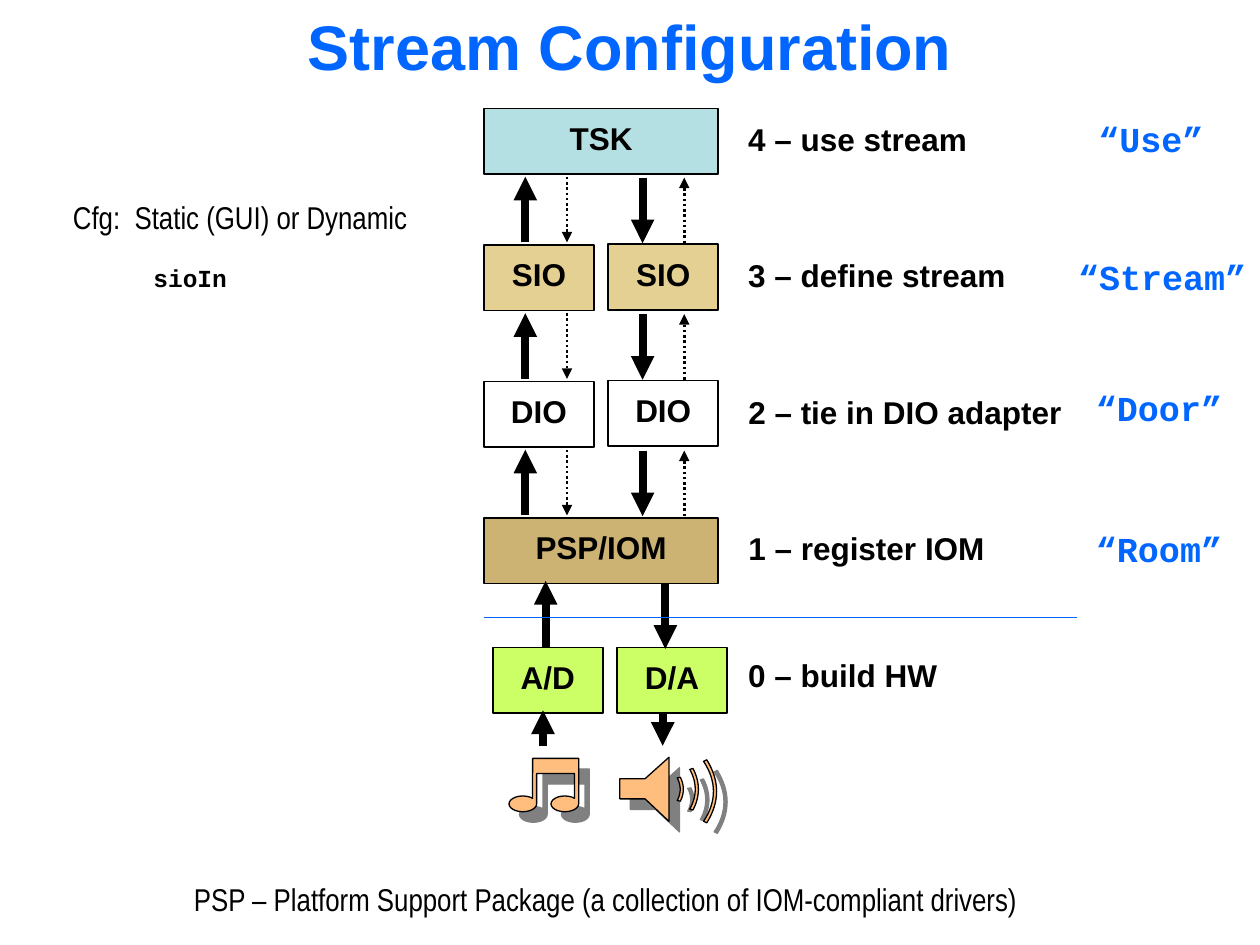
import math

from lxml import etree
from pptx import Presentation
from pptx.dml.color import RGBColor
from pptx.enum.dml import MSO_LINE
from pptx.enum.shapes import MSO_CONNECTOR, MSO_SHAPE
from pptx.enum.text import MSO_ANCHOR, MSO_AUTO_SIZE, PP_ALIGN
from pptx.oxml.ns import qn
from pptx.util import Pt

RECTANGLE, STRAIGHT = MSO_SHAPE.RECTANGLE, MSO_CONNECTOR.STRAIGHT
DOTTED, MIDDLE = MSO_LINE.ROUND_DOT, MSO_ANCHOR.MIDDLE
LEFT, CENTER = PP_ALIGN.LEFT, PP_ALIGN.CENTER
GROW = MSO_AUTO_SIZE.SHAPE_TO_FIT_TEXT

THEME = {
    "blue": "0066FF", "black": "000000", "task": "B5E0E3", "stream": "E5D093",
    "adapter": "FFFFFF", "driver": "CCB374", "hardware": "CCFF66",
    "icon": "FFBE7D", "shadow": "808080",
    # text style: font, size, bold, colour
    "title": ("Arial", 36, True, "blue"),
    "label": ("Arial", 18, True, "black"),
    "nickname": ("Courier New", 20, True, "blue"),
    "code": ("Courier New", 14, True, "black"),
    "note": ("Arial Narrow", 18, False, "black"),
}

# Layers from top to bottom: box texts, fill, step label, label width
LAYERS = [
    (["TSK"], "task", "4 – use stream", 139.7),
    (["SIO", "SIO"], "stream", "3 – define stream", 161.3),
    (["DIO", "DIO"], "adapter", "2 – tie in DIO adapter", 193.7),
    (["PSP/IOM"], "driver", "1 – register IOM", 149.8),
]
CONVERTERS = ["A/D", "D/A"]
# Free texts: text, style, left, top, width, height
TEXTS = [
    ("0 – build HW", "label", 420.5, 375.8, 122.4, 24.5),
    ("“Use”", "nickname", 620.6, 68.4, 76, 26.6),
    ("“Stream”", "nickname", 609, 146.9, 111, 26.6),
    ("“Door”", "nickname", 619.2, 221.8, 88, 26.6),
    ("“Room”", "nickname", 619.2, 302.4, 88, 26.6),
    ("Cfg:  Static (GUI) or Dynamic", "note", 34.6, 113.8, 205.9, 24.5),
    ("sioIn", "code", 80.6, 149.8, 57.5, 20.9),
    ("PSP – Platform Support Package (a collection of IOM-compliant drivers)",
     "note", 103.7, 503.3, 486, 24.5),
]
# Arrows between layers: x, offset from the gap top at start and end, dotted
LAYER_ARROWS = [(300.2, 37.5, 0, False), (324, 0, 37.5, True),
                (367.2, 0.5, 38, False), (391, 38, 0.5, True)]
# Arrows around the converters: x, start y, end y
HARDWARE_ARROWS = [(311.8, 370, 332), (380.2, 333.4, 370.8),
                   (310.3, 426.2, 406), (378.7, 407.5, 426.2)]

STACK_LEFT, STACK_TOP, PITCH = 276.5, 62, 78
BOX_WIDTH, BOX_HEIGHT, COLUMN_STEP = 63, 37.5, 71
STACK_WIDTH = 134
CONVERTER_LEFT, CONVERTER_TOP = 281.5, 370
LABEL_LEFT, LABEL_DROP, LABEL_HEIGHT = 420.5, 7, 24.5

UNITS_PER_POINT = 100
SPEAKER = [(354.2, 445), (368.6, 445), (382.3, 432.7),
           (382.3, 469.4), (368.6, 456.5), (354.2, 456.5)]
# Sound waves: tip x, centre y, bulge, half height
WAVES = [(388.8, 451, 1.7, 6.8), (396, 451, 3.1, 11.9), (403.9, 452.2, 5.6, 18)]


def color(name):
    return RGBColor.from_string(THEME[name])


def write(shape, text, style, align=LEFT, spacing=0.8):
    font_name, size, bold, color_name = THEME[style]
    shape.text_frame.text = text
    paragraph = shape.text_frame.paragraphs[0]
    paragraph.alignment, paragraph.line_spacing = align, spacing
    font = paragraph.runs[0].font
    font.name, font.size, font.bold = font_name, Pt(size), bold
    font.color.rgb = color(color_name)


def add_text(slide, text, style, left, top, width, height):
    box = slide.shapes.add_textbox(Pt(left), Pt(top), Pt(width), Pt(height))
    write(box, text, style)
    box.text_frame.word_wrap = False
    box.text_frame.auto_size = GROW


def paint(shape, fill, line_width):
    shape.shadow.inherit = False
    shape.fill.solid()
    shape.fill.fore_color.rgb = color(fill)
    shape.line.color.rgb = color("black")
    shape.line.width = Pt(line_width)


def add_box(slide, text, fill, left, top, width=BOX_WIDTH):
    box = slide.shapes.add_shape(RECTANGLE, Pt(left), Pt(top), Pt(width), Pt(BOX_HEIGHT))
    paint(box, fill, 1)
    write(box, text, "label", CENTER)
    box.text_frame.word_wrap = False
    box.text_frame.vertical_anchor = MIDDLE


def add_line(slide, start, end, width, line_color="black", dotted=False, tail="triangle"):
    line = slide.shapes.add_connector(STRAIGHT, *(Pt(value) for value in (*start, *end)))
    line.line.color.rgb = color(line_color)
    line.line.width = Pt(width)
    if dotted:
        line.line.dash_style = DOTTED
    properties = line.element.spPr
    etree.SubElement(properties.find(qn("a:ln")), qn("a:tailEnd"), type=tail)
    etree.SubElement(properties, qn("a:effectLst"))


def add_icon(slide, contours):
    """Draw closed contours as one shape with a hard drop shadow."""
    contours = [[(x * UNITS_PER_POINT, y * UNITS_PER_POINT) for x, y in contour]
                for contour in contours]
    builder = slide.shapes.build_freeform(*contours[0][0], scale=Pt(1) / UNITS_PER_POINT)
    for index, contour in enumerate(contours):
        if index:
            builder.move_to(*contour[0])
        builder.add_line_segments(contour[1:], close=True)
    icon = builder.convert_to_shape()
    paint(icon, "icon", 0.75)
    effects = icon.element.spPr.find(qn("a:effectLst"))
    shadow = etree.SubElement(effects, qn("a:outerShdw"), dist=str(Pt(8.5)),
                              dir="2700000", algn="ctr", rotWithShape="0")
    etree.SubElement(shadow, qn("a:srgbClr"), val=THEME["shadow"])


def wave_contour(tip, center, bulge, half):
    steps = [step / 8 for step in range(-8, 9)]
    outer = [(tip + bulge * (1 - t * t), center + half * t) for t in steps]
    inner = [(x - 1.8, center + (y - center) * 0.95) for x, y in reversed(outer)]
    return outer + inner


def note_head(center_x):
    """Trace an oval from its upper right, round the left, to its right end."""
    angles = [math.radians(degrees) for degrees in range(45, 361, 15)]
    return [(center_x + 7.9 * math.cos(angle), 459.4 - 4.5 * math.sin(angle))
            for angle in angles]


def note_contour():
    head_x, step = 298.8, 24
    return [(304.4, 433.4), *note_head(head_x), (306.7, 442.1),
            (304.4 + step, 442.1), *note_head(head_x + step), (306.7 + step, 433.4)]


def main():
    presentation = Presentation()
    presentation.slide_width, presentation.slide_height = Pt(720), Pt(540)
    slide = presentation.slides.add_slide(presentation.slide_layouts[6])

    title = slide.shapes.add_textbox(0, 0, Pt(720), Pt(58.3))
    title.text_frame.word_wrap = True
    title.text_frame.margin_top = Pt(4.5)
    write(title, "Stream Configuration", "title", CENTER, 1)

    for row, (names, fill, label, label_width) in enumerate(LAYERS):
        top = STACK_TOP + row * PITCH
        width = BOX_WIDTH if len(names) > 1 else STACK_WIDTH
        for column, name in enumerate(names):
            add_box(slide, name, fill, STACK_LEFT + column * COLUMN_STEP,
                    top - 0.5 * column, width)
        add_text(slide, label, "label", LABEL_LEFT, top + LABEL_DROP,
                 label_width, LABEL_HEIGHT)
    for column, name in enumerate(CONVERTERS):
        add_box(slide, name, "hardware", CONVERTER_LEFT + column * COLUMN_STEP, CONVERTER_TOP)

    for row in range(len(LAYERS) - 1):
        gap_top = STACK_TOP + BOX_HEIGHT + 1.5 + row * PITCH
        for x, start, end, dotted in LAYER_ARROWS:
            add_line(slide, (x, gap_top + start), (x, gap_top + end),
                     1.5 if dotted else 4.5, dotted=dotted)
    for x, start, end in HARDWARE_ARROWS:
        add_line(slide, (x, start), (x, end), 4.5)
    add_line(slide, (STACK_LEFT, 352.8), (615.6, 352.8), 1, "blue", tail="none")

    add_icon(slide, [SPEAKER] + [wave_contour(*wave) for wave in WAVES])
    add_icon(slide, [note_contour()])
    for text in TEXTS:
        add_text(slide, *text)
    presentation.save("out.pptx")


if __name__ == "__main__":
    main()
